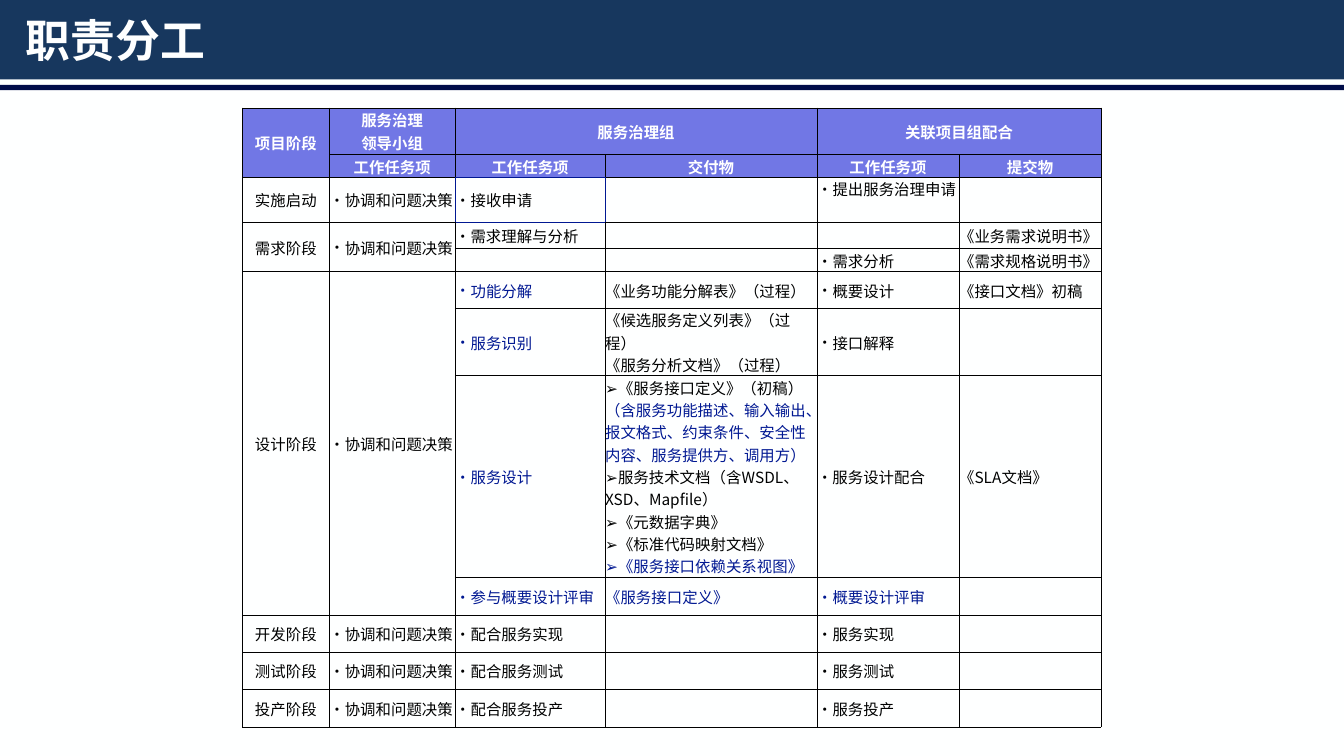
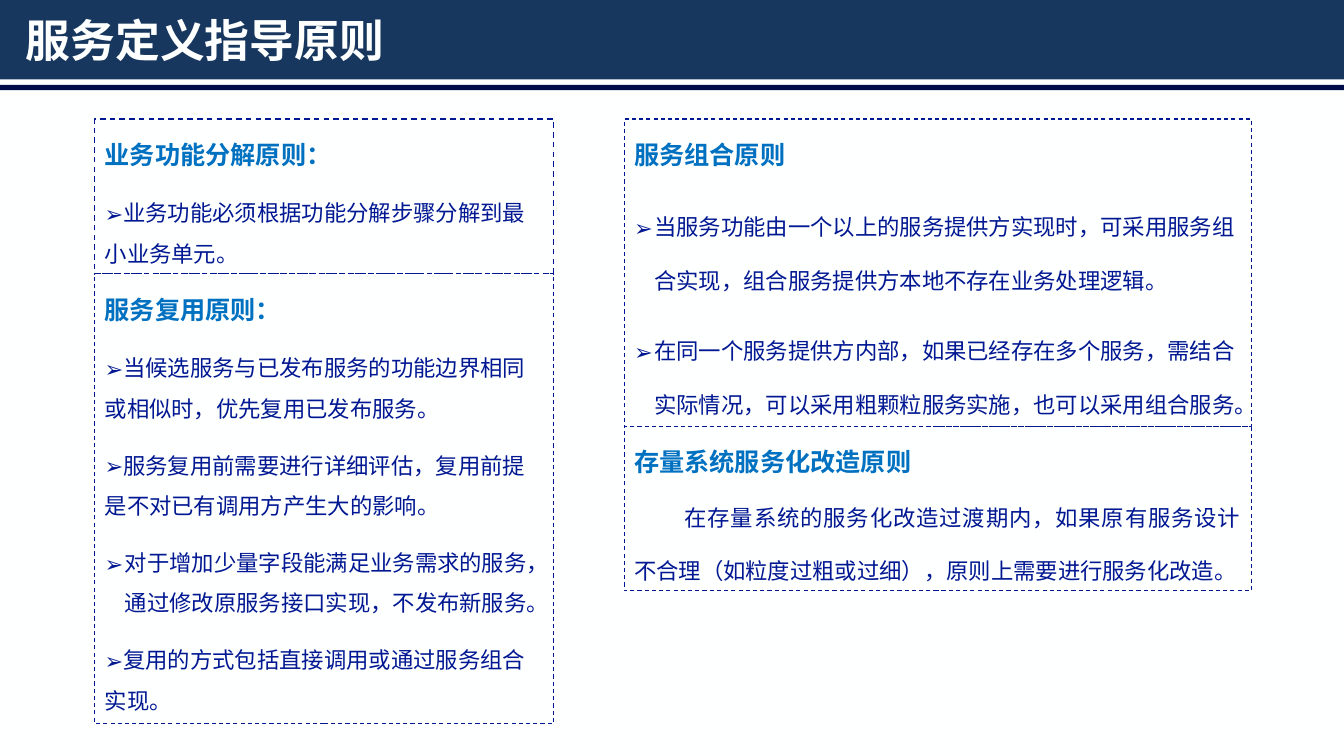
import pptx
import pptx.dml.color
import pptx.enum.dml
import pptx.enum.shapes
import pptx.enum.text
import pptx.oxml
import pptx.oxml.ns
import pptx.util
from lxml import etree

Cm, Pt = pptx.util.Cm, pptx.util.Pt
qn = pptx.oxml.ns.qn
ALIGN = pptx.enum.text.PP_ALIGN
ANCHOR = pptx.enum.text.MSO_ANCHOR
RECTANGLE = pptx.enum.shapes.MSO_SHAPE.RECTANGLE

FONT = "Noto Sans CJK SC"
COLORS = {
    "page": "FEFFFF", "band": "17375E", "rule": "000C49", "header": "7177E5",
    "white": "FFFFFF", "black": "000000", "navy": "011892", "heading": "0070C0",
}
SLIDE_WIDTH, SLIDE_HEIGHT = Cm(33.87), Cm(19.05)

# Text marks: "・" wide bullet, "•" or "➢" tight bullet, "#" navy text.
BULLETS = {"・": Cm(0.39), "•": 0, "➢": 0}

DECISION = "・协调和问题决策"
DUTY_TITLE = "职责分工"
DUTY_ROWS = [
    ["项目阶段", "服务治理\n领导小组", "服务治理组", "", "关联项目组配合", ""],
    ["", "工作任务项", "工作任务项", "交付物", "工作任务项", "提交物"],
    ["实施启动", DECISION, "・接收申请", "", "・提出服务治理申请", ""],
    ["需求阶段", DECISION, "•需求理解与分析", "", "", "《业务需求说明书》"],
    ["", "", "", "", "・需求分析", "《需求规格说明书》"],
    ["设计阶段", DECISION, "#・功能分解", "《业务功能分解表》（过程）", "・概要设计", "《接口文档》初稿"],
    ["", "", "#・服务识别", "《候选服务定义列表》（过程）\n《服务分析文档》（过程）", "・接口解释", ""],
    ["", "", "#・服务设计",
     "➢《服务接口定义》（初稿）"
     "#（含服务功能描述、输入输出、报文格式、约束条件、安全性内容、服务提供方、调用方）\n"
     "➢服务技术文档（含WSDL、XSD、Mapfile）\n➢《元数据字典》\n"
     "➢《标准代码映射文档》\n#➢《服务接口依赖关系视图》",
     "•服务设计配合", "《SLA文档》"],
    ["", "", "#・参与概要设计评审", "#《服务接口定义》", "#・概要设计评审", ""],
    ["开发阶段", DECISION, "・配合服务实现", "", "・服务实现", ""],
    ["测试阶段", DECISION, "・配合服务测试", "", "・服务测试", ""],
    ["投产阶段", DECISION, "・配合服务投产", "", "・服务投产", ""],
]
HEADER_ROWS = 2
COLUMN_WIDTHS = [2.19, 3.17, 3.78, 5.34, 3.58, 3.58]
ROW_HEIGHTS = [1.18, 0.58, 1.13, 0.66, 0.58, 0.93, 1.69, 5.09, 0.94, 0.94, 0.94, 0.94]
MERGES = [((0, 0), (1, 0)), ((0, 2), (0, 3)), ((0, 4), (0, 5)),
          ((3, 0), (4, 0)), ((3, 1), (4, 1)), ((5, 0), (8, 0)), ((5, 1), (8, 1))]
TOP_CELL = (2, 4)
FRAMED_CELL = (2, 2)
OPEN_EDGE = (0, 5, "R")
SIDES = {"L": (0, -1), "R": (0, 1), "T": (-1, 0), "B": (1, 0)}
OPPOSITE = {"L": "R", "R": "L", "T": "B", "B": "T"}

PRINCIPLE_TITLE = "服务定义指导原则"
TIGHT = dict(bullet="➢", line=1.5)
HANGING = dict(bullet="➢", line=1.5, margin=Cm(0.51), indent=-Cm(0.51))
HANGING_WIDE = dict(HANGING, line=2)
JUSTIFIED = dict(line=2, indent=Cm(1.27), align=ALIGN.JUSTIFY)
LEFT_COLUMN, RIGHT_COLUMN = (2.39, 11.56), (15.73, 15.8)
# Column, top, height, line width, paragraph gap, heading, body
PRINCIPLES = [
    (LEFT_COLUMN, 3.0, 3.89, 1, 6, "业务功能分解原则：", [
        ("业务功能必须根据功能分解步骤分解到最小业务单元。", TIGHT)]),
    (LEFT_COLUMN, 6.9, 11.33, 0.75, 6, "服务复用原则：", [
        ("当候选服务与已发布服务的功能边界相同或相似时，优先复用已发布服务。", TIGHT),
        ("服务复用前需要进行详细评估，复用前提是不对已有调用方产生大的影响。", TIGHT),
        ("对于增加少量字段能满足业务需求的服务，通过修改原服务接口实现，不发布新服务。", HANGING),
        ("复用的方式包括直接调用或通过服务组合实现。", TIGHT)]),
    (RIGHT_COLUMN, 3.0, 7.74, 0.75, 6, "服务组合原则", [
        ("当服务功能由一个以上的服务提供方实现时，可采用服务组合实现，"
         "组合服务提供方本地不存在业务处理逻辑。", HANGING_WIDE),
        ("在同一个服务提供方内部，如果已经存在多个服务，需结合实际情况，"
         "可以采用粗颗粒服务实施，也可以采用组合服务。", HANGING_WIDE)]),
    (RIGHT_COLUMN, 10.75, 4.14, 0.75, 0, "存量系统服务化改造原则", [
        ("在存量系统的服务化改造过渡期内，如果原有服务设计不合理（如粒度过粗或过细），"
         "原则上需要进行服务化改造。", JUSTIFIED)]),
]


def rgb(name):
    return pptx.dml.color.RGBColor.from_string(COLORS[name])


def style_paragraph(paragraph, size, color, bold=False, align=ALIGN.LEFT,
                    bullet=None, margin=0, indent=0, line=None):
    paragraph.alignment = align
    if line:
        paragraph.line_spacing = line
    properties = paragraph._p.get_or_add_pPr()
    properties.set("marL", str(int(margin)))
    properties.set("indent", str(int(indent)))
    if bullet:
        etree.SubElement(properties, qn("a:buFont"), typeface=FONT)
        etree.SubElement(properties, qn("a:buChar"), char=bullet)
    font = paragraph.font
    font.size, font.bold, font.name = Pt(size), bold, FONT
    font.color.rgb = rgb(color)
    etree.SubElement(properties.find(qn("a:defRPr")), qn("a:ea"), typeface=FONT)
    if not paragraph.runs:
        etree.SubElement(paragraph._p, qn("a:endParaRPr"), sz=str(size * 100))


def next_paragraph(frame, index):
    return frame.add_paragraph() if index else frame.paragraphs[0]


def add_rectangle(page, left, top, width, height, fill=None):
    shape = page.shapes.add_shape(RECTANGLE, left, top, width, height)
    shape.shadow.inherit = False
    if fill:
        shape.fill.solid()
        shape.fill.fore_color.rgb = rgb(fill)
        shape.line.fill.background()
    else:
        shape.fill.background()
    return shape


def add_page(deck, title):
    """Add a slide with the shared background, bands and title."""
    page = deck.slides.add_slide(deck.slide_layouts[6])
    page.background.fill.solid()
    page.background.fill.fore_color.rgb = rgb("page")
    add_rectangle(page, 0, 0, SLIDE_WIDTH, Cm(2), "band")
    add_rectangle(page, 0, Cm(2.14), SLIDE_WIDTH, Cm(0.13), "rule")
    box = page.shapes.add_textbox(Cm(0.4), Cm(0.23), Cm(33.07), Cm(1.52))
    box.text_frame.word_wrap = True
    box.text_frame.vertical_anchor = ANCHOR.MIDDLE
    paragraph = box.text_frame.paragraphs[0]
    paragraph.add_run().text = title
    style_paragraph(paragraph, 32, "page", bold=True)
    return page


def fill_cell(cell, text, header, align):
    """Write marked text, one paragraph a line."""
    for index, line in enumerate(text.split("\n")):
        paragraph = next_paragraph(cell.text_frame, index)
        color = "white" if header else "black"
        if line.startswith("#"):
            line, color = line[1:], "navy"
        bullet = line[0] if line[:1] in BULLETS and line else None
        if bullet:
            line = line[1:]
        for position, part in enumerate(line.split("#")):
            if part:
                span = paragraph.add_run()
                span.text = part
                if position:
                    span.font.color.rgb = rgb("navy")
        hang = BULLETS.get(bullet, 0)
        style_paragraph(paragraph, 11, color, header, align, bullet, hang, -hang)


def draw_borders(cell, row, column):
    properties = cell._tc.get_or_add_tcPr()
    for position, (side, (down, across)) in enumerate(SIDES.items()):
        framed = FRAMED_CELL in ((row, column), (row + down, column + across))
        if (row, column) != FRAMED_CELL and (row + down, column + across) != FRAMED_CELL:
            framed = False
        line = etree.Element(qn("a:ln" + side), w=str(int(Pt(1 if framed else 0.5))))
        if (row, column, side) == OPEN_EDGE:
            etree.SubElement(line, qn("a:noFill"))
        else:
            fill = etree.SubElement(line, qn("a:solidFill"))
            etree.SubElement(fill, qn("a:srgbClr"), val=COLORS["navy" if framed else "black"])
        properties.insert(position, line)


def add_duty_table(page):
    table = page.shapes.add_table(
        len(DUTY_ROWS), len(COLUMN_WIDTHS), Cm(6.11), Cm(2.72),
        Cm(sum(COLUMN_WIDTHS)), Cm(sum(ROW_HEIGHTS))).table
    table.first_row = table.horz_banding = False
    for column, width in zip(table.columns, COLUMN_WIDTHS):
        column.width = Cm(width)
    for row, height in zip(table.rows, ROW_HEIGHTS):
        row.height = Cm(height)
    for row, texts in enumerate(DUTY_ROWS):
        header = row < HEADER_ROWS
        for column, text in enumerate(texts):
            cell = table.cell(row, column)
            cell.margin_left = cell.margin_right = cell.margin_top = cell.margin_bottom = 0
            cell.vertical_anchor = ANCHOR.TOP if (row, column) == TOP_CELL else ANCHOR.MIDDLE
            if header:
                cell.fill.solid()
                cell.fill.fore_color.rgb = rgb("header")
            else:
                cell.fill.background()
            fill_cell(cell, text, header, ALIGN.CENTER if header or column == 0 else ALIGN.LEFT)
            draw_borders(cell, row, column)
    for first, last in MERGES:
        table.cell(*first).merge(table.cell(*last))


def add_principle(page, column, top, height, line_width, gap, heading, body):
    left, width = column
    box = add_rectangle(page, Cm(left), Cm(top), Cm(width), Cm(height))
    box.line.color.rgb = rgb("navy")
    box.line.width = Pt(line_width)
    box.line.dash_style = pptx.enum.dml.MSO_LINE.DASH
    frame = box.text_frame
    frame.word_wrap = True
    frame.auto_size = pptx.enum.text.MSO_AUTO_SIZE.SHAPE_TO_FIT_TEXT
    frame.vertical_anchor = ANCHOR.TOP
    for index, (text, style) in enumerate([(heading, dict(line=1.5))] + body):
        paragraph = next_paragraph(frame, index)
        paragraph.add_run().text = text
        paragraph.space_before = Pt(gap if index else 0)
        paragraph.space_after = Pt(gap)
        if index:
            style_paragraph(paragraph, 16, "navy", **style)
        else:
            style_paragraph(paragraph, 18, "heading", bold=True, **style)


def main():
    deck = pptx.Presentation()
    deck.slide_width, deck.slide_height = SLIDE_WIDTH, SLIDE_HEIGHT
    add_duty_table(add_page(deck, DUTY_TITLE))
    page = add_page(deck, PRINCIPLE_TITLE)
    for principle in PRINCIPLES:
        add_principle(page, *principle)
    deck.save("out.pptx")


if __name__ == "__main__":
    main()
